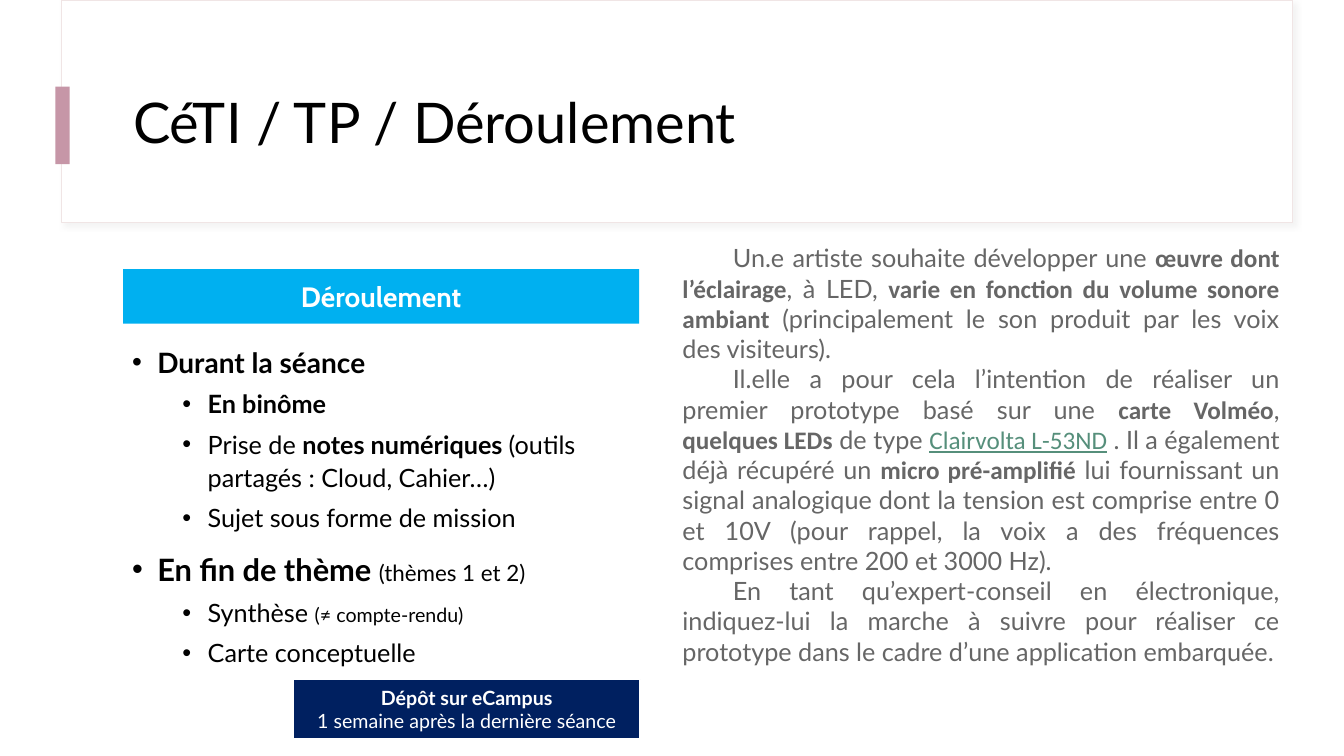
from dataclasses import dataclass
from typing import NamedTuple, Optional

import pptx
import pptx.dml.color
import pptx.enum.shapes
import pptx.enum.text
import pptx.oxml
import pptx.oxml.ns
import pptx.util
from pptx.dml.color import RGBColor
from pptx.util import Inches, Pt

BLACK = RGBColor(0x00, 0x00, 0x00)
WHITE = RGBColor(0xFF, 0xFF, 0xFF)
GREY = RGBColor(0x66, 0x66, 0x66)
GREEN = RGBColor(0x56, 0x8F, 0x7B)
PINK = RGBColor(0xC6, 0x96, 0xA7)
PALE_PINK = RGBColor(0xF0, 0xE5, 0xE5)
SKY = RGBColor(0x00, 0xB0, 0xF0)
NAVY = RGBColor(0x00, 0x20, 0x60)

ALIGN = pptx.enum.text.PP_ALIGN
ANCHOR = pptx.enum.text.MSO_ANCHOR
AUTO_SIZE = pptx.enum.text.MSO_AUTO_SIZE
RECTANGLE = pptx.enum.shapes.MSO_SHAPE.RECTANGLE

SHADOW_XML = (
    f'<a:effectLst {pptx.oxml.ns.nsdecls("a")}>'
    '<a:outerShdw blurRad="50800" dist="38100" dir="2700000">'
    '<a:srgbClr val="D9D9D9"><a:alpha val="30000"/></a:srgbClr>'
    '</a:outerShdw></a:effectLst>'
)


class Box(NamedTuple):
    left: float
    top: float
    width: float
    height: float

    def lengths(self) -> list:
        return [Inches(value) for value in self]


@dataclass
class Panel:
    box: Box
    fill: RGBColor
    line: Optional[RGBColor] = None
    line_width: float = 0.75


@dataclass
class Span:
    text: str
    size: float
    bold: bool = False
    font: str = "Lato"
    color: RGBColor = BLACK
    underline: bool = False


@dataclass
class Item:
    level: int
    spans: list


def add_panel(slide, panel: Panel):
    shape = slide.shapes.add_shape(RECTANGLE, *panel.box.lengths())
    shape.shadow.inherit = False
    shape.fill.solid()
    shape.fill.fore_color.rgb = panel.fill
    if panel.line is None:
        shape.line.fill.background()
    else:
        shape.line.color.rgb = panel.line
        shape.line.width = Pt(panel.line_width)
    return shape


def write_spans(paragraph, spans: list) -> None:
    for span in spans:
        run = paragraph.add_run()
        run.text = span.text
        run.font.name = span.font
        run.font.size = Pt(span.size)
        run.font.bold = span.bold
        run.font.color.rgb = span.color
        if span.underline:
            run.font.underline = True


def paragraphs_for(frame, count: int) -> list:
    return [frame.paragraphs[0]] + [frame.add_paragraph() for _ in range(count - 1)]


def place(shape, box: Box) -> None:
    shape.left, shape.top, shape.width, shape.height = box.lengths()


def write_steps(frame, items: list) -> None:
    for index, (paragraph, item) in enumerate(zip(paragraphs_for(frame, len(items)), items)):
        properties = paragraph._p.get_or_add_pPr()
        properties.set("marL", str(Inches(0.25 + 0.5 * item.level)))
        properties.set("indent", str(Inches(-0.25)))
        properties.append(pptx.oxml.parse_xml(
            f'<a:buFont {pptx.oxml.ns.nsdecls("a")} typeface="Arial"/>'))
        properties.append(pptx.oxml.parse_xml(
            f'<a:buChar {pptx.oxml.ns.nsdecls("a")} char="•"/>'))
        paragraph.level = item.level
        paragraph.line_spacing = 1.1
        paragraph.space_before = Pt(0 if index == 0 else 5 if item.level else 10)
        write_spans(paragraph, item.spans)


def plain(text: str) -> Span:
    return Span(text, 18, color=GREY)


def strong(text: str) -> Span:
    return Span(text, 18, True, "Calibri", GREY)


STEPS = [
    Item(0, [Span("Durant la séance", 20, True)]),
    Item(1, [Span("En binôme", 18, True)]),
    Item(1, [Span("Prise de ", 18), Span("notes numériques ", 18, True),
             Span("(outils partagés : Cloud, Cahier…)", 18)]),
    Item(1, [Span("Sujet sous forme de mission", 18)]),
    Item(0, [Span("En fin de thème ", 22, True), Span("(thèmes 1 et 2)", 16)]),
    Item(1, [Span("Synthèse ", 18), Span("(≠ compte-rendu)", 14)]),
    Item(1, [Span("Carte conceptuelle", 18)]),
]

MISSION = [
    [plain("Un.e artiste souhaite développer une "),
     strong("œuvre dont l’éclairage"), plain(", à LED, "),
     strong("varie en fonction du volume sonore ambiant"),
     plain(" (principalement le son produit par les voix des visiteurs).")],
    [plain("Il.elle a pour cela l’intention de réaliser un premier prototype basé sur une "),
     strong("carte Volméo"), plain(", "), strong("quelques LEDs"), plain(" de type "),
     Span("Clairvolta L-53ND", 18, False, "Calibri", GREEN, True),
     plain(" . Il a également déjà récupéré un "), strong("micro pré-amplifié"),
     plain(" lui fournissant un signal analogique dont la tension est comprise entre 0 et 10V "
           "(pour rappel, la voix a des fréquences comprises entre 200 et 3000 Hz).")],
    [plain("En tant qu’expert-conseil en électronique, indiquez-lui la marche à suivre pour "
           "réaliser ce prototype dans le cadre d’une application embarquée.")],
]

DEADLINE = [
    [Span("Dépôt sur eCampus", 14, True, color=WHITE)],
    [Span("1 semaine après la dernière séance", 14, color=WHITE)],
]


def main() -> None:
    presentation = pptx.Presentation()
    presentation.slide_width = Inches(13.33)
    presentation.slide_height = Inches(7.5)
    slide = presentation.slides.add_slide(presentation.slide_layouts[1])
    title = slide.shapes.title
    steps = slide.placeholders[1]

    # Title card and accent
    card = add_panel(slide, Panel(Box(0.61, 0, 12.21, 2.21), WHITE, PALE_PINK))
    card.shadow.inherit = True
    card._element.spPr.append(pptx.oxml.parse_xml(SHADOW_XML))
    add_panel(slide, Panel(Box(0.55, 0.86, 0.14, 0.77), PINK))

    # Mission statement
    mission = slide.shapes.add_textbox(*Box(6.67, 2.36, 6.12, 4.64).lengths()).text_frame
    mission.word_wrap = True
    for paragraph, spans in zip(paragraphs_for(mission, len(MISSION)), MISSION):
        paragraph.alignment = ALIGN.JUSTIFY
        paragraph._p.get_or_add_pPr().set("indent", str(Inches(0.5)))
        write_spans(paragraph, spans)

    # Title, in front of its card
    slide.shapes.element.append(title._element)
    place(title, Box(1.22, 0.6, 11.12, 1.29))
    title.text_frame.vertical_anchor = ANCHOR.MIDDLE
    title.text_frame.auto_size = AUTO_SIZE.NONE
    heading = title.text_frame.paragraphs[0]
    heading.alignment = ALIGN.LEFT
    heading.line_spacing = 0.9
    write_spans(heading, [Span("CéTI / TP / Déroulement", 40)])

    # Section banner
    banner = add_panel(slide, Panel(Box(1.22, 2.67, 5.12, 0.54), SKY)).text_frame
    banner.margin_top = banner.margin_bottom = Inches(0.1)
    banner.vertical_anchor = ANCHOR.TOP
    banner.paragraphs[0].alignment = ALIGN.CENTER
    write_spans(banner.paragraphs[0], [Span("Déroulement", 20, True, "Cabin", WHITE)])

    # Steps of the session
    slide.shapes.element.append(steps._element)
    place(steps, Box(1.21, 3.34, 5.12, 4.04))
    steps.text_frame.auto_size = AUTO_SIZE.NONE
    write_steps(steps.text_frame, STEPS)

    # Deadline
    deadline = add_panel(slide, Panel(Box(2.91, 6.74, 3.44, 0.59), NAVY, WHITE, 1)).text_frame
    deadline.vertical_anchor = ANCHOR.MIDDLE
    deadline.word_wrap = True
    for paragraph, spans in zip(paragraphs_for(deadline, len(DEADLINE)), DEADLINE):
        paragraph.alignment = ALIGN.CENTER
        write_spans(paragraph, spans)

    presentation.save("out.pptx")


if __name__ == "__main__":
    main()
